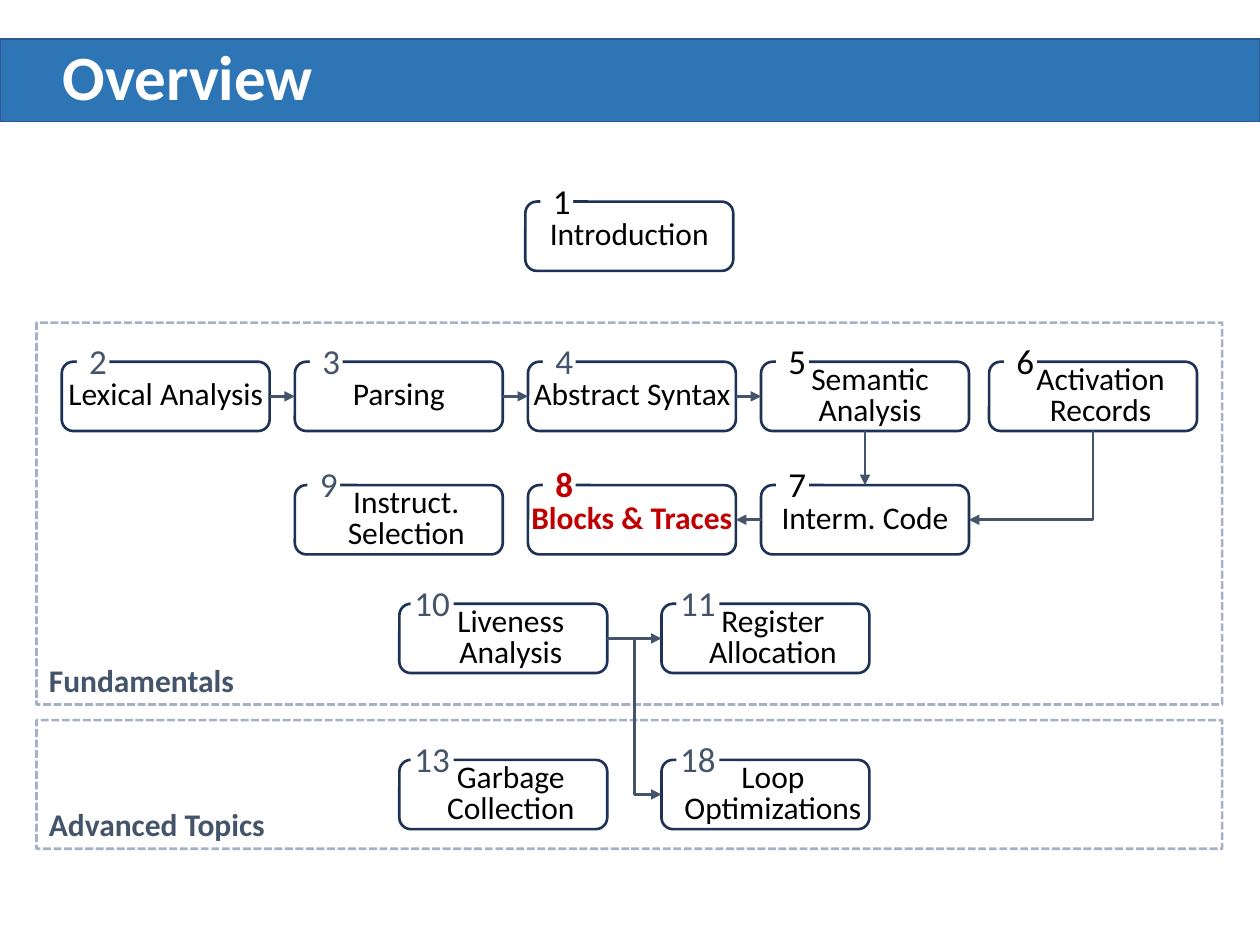
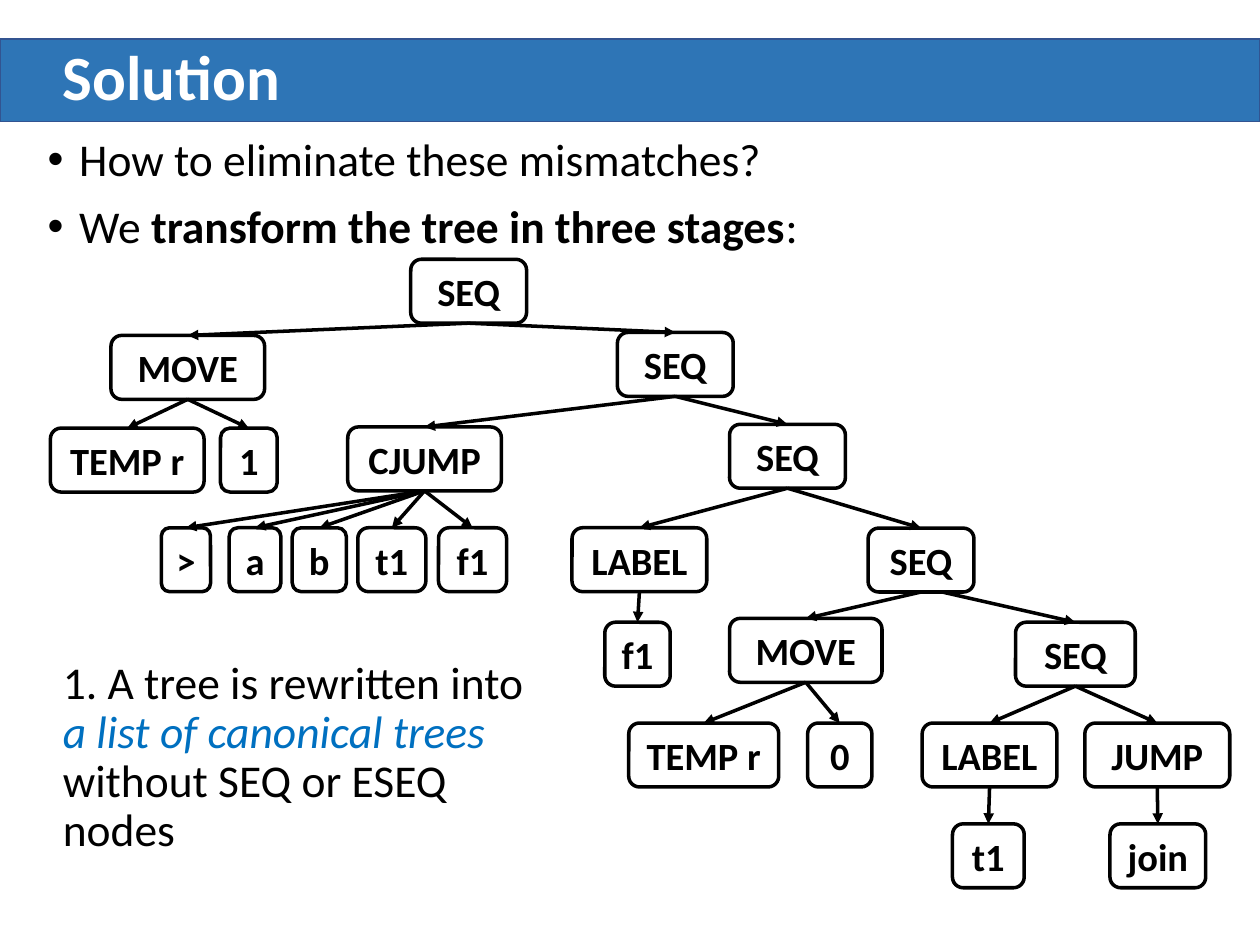
from dataclasses import dataclass

from lxml import etree
from pptx import Presentation
from pptx.dml.color import RGBColor
from pptx.enum.dml import MSO_LINE
from pptx.enum.shapes import MSO_CONNECTOR, MSO_SHAPE
from pptx.enum.text import MSO_ANCHOR, PP_ALIGN
from pptx.oxml.ns import qn
from pptx.util import Pt

RECT, ROUNDED = MSO_SHAPE.RECTANGLE, MSO_SHAPE.ROUNDED_RECTANGLE
STRAIGHT, ELBOW = MSO_CONNECTOR.STRAIGHT, MSO_CONNECTOR.ELBOW
TOP, MIDDLE = MSO_ANCHOR.TOP, MSO_ANCHOR.MIDDLE
LEFT, CENTER = PP_ALIGN.LEFT, PP_ALIGN.CENTER
DASHED = MSO_LINE.SQUARE_DOT

FONT = "Calibri"
BLACK, WHITE, SLATE, RED = "000000", "FFFFFF", "44546A", "C00000"
BAND_BLUE, BAND_EDGE, EMPHASIS = "2E75B6", "325491", "0070C0"
CARD_EDGE, PANEL_EDGE = "1E3256", "002060"
PADDING = (7.2, 3.6, 7.2, 3.6)
CARD_W, CARD_H, NODE_H = 118.8, 39.6, 36.5


@dataclass
class Box:
    """A rectangle in points."""
    left: float
    top: float
    width: float
    height: float

    def inner(self, dx, dy, width, height):
        """Return a box placed relative to this one."""
        return Box(self.left + dx, self.top + dy, width, height)

    def point(self, across, down):
        """Return the point at the given fractions of the box."""
        return self.left + across * self.width, self.top + down * self.height

    def lengths(self):
        """Return the four measures as lengths."""
        return [Pt(v) for v in (self.left, self.top, self.width, self.height)]


@dataclass
class Node:
    """A tree node, placed relative to the tree."""
    label: str
    left: float
    top: float
    width: float
    children: tuple = ()
    last_exit_shift: float = 0


def rgb(hex_string):
    """Turn a hex string into a colour."""
    return RGBColor.from_string(hex_string)


def write(shape, *paragraphs, size=18, color=BLACK, bold=False, align=LEFT,
          anchor=TOP, insets=PADDING, spacing=None, before=None, bullet=False):
    """Write paragraphs, each a string or a list of (text, overrides) runs."""
    frame = shape.text_frame
    frame.word_wrap = True
    frame.vertical_anchor = anchor
    (frame.margin_left, frame.margin_top,
     frame.margin_right, frame.margin_bottom) = [Pt(v) for v in insets]
    for index, content in enumerate(paragraphs):
        paragraph = frame.add_paragraph() if index else frame.paragraphs[0]
        paragraph.alignment = align
        if spacing:
            paragraph.line_spacing = spacing
        if before:
            paragraph.space_before = Pt(before)
        if bullet:
            props = paragraph._p.get_or_add_pPr()
            props.set("marL", str(Pt(18)))
            props.set("indent", str(-Pt(18)))
            etree.SubElement(props, qn("a:buFont")).set("typeface", "Arial")
            etree.SubElement(props, qn("a:buChar")).set("char", "•")
        for text, changes in [(content, {})] if isinstance(content, str) else content:
            run = paragraph.add_run()
            run.text = text
            run.font.name = FONT
            run.font.size = Pt(size)
            run.font.bold = changes.get("bold", bold)
            run.font.italic = changes.get("italic", False)
            run.font.color.rgb = rgb(changes.get("color", color))


def add_text(slide, box, *paragraphs, **style):
    """Add a text box."""
    write(slide.shapes.add_textbox(*box.lengths()), *paragraphs, **style)


def add_box(slide, kind, box, fill=None, edge=None, weight=1.5):
    """Add a flat shape."""
    shape = slide.shapes.add_shape(kind, *box.lengths())
    shape.shadow.inherit = False
    if fill:
        shape.fill.solid()
        shape.fill.fore_color.rgb = rgb(fill)
    else:
        shape.fill.background()
    if edge:
        shape.line.color.rgb = rgb(edge)
        shape.line.width = Pt(weight)
    else:
        shape.line.fill.background()
    return shape


def add_arrow(slide, start, end, color=SLATE, weight=1.5, down_first=False):
    """Draw an arrow, straight or going vertically before horizontally."""
    kind = ELBOW if down_first else STRAIGHT
    arrow = slide.shapes.add_connector(kind, *[Pt(v) for v in (*start, *end)])
    arrow.line.color.rgb = rgb(color)
    arrow.line.width = Pt(weight)
    props = arrow.element.spPr
    etree.SubElement(props.find(qn("a:ln")), qn("a:tailEnd")).set("type", "triangle")
    etree.SubElement(props, qn("a:effectLst"))
    if down_first:
        bend = etree.SubElement(props.find(qn("a:prstGeom")).find(qn("a:avLst")), qn("a:gd"))
        bend.set("name", "adj1")
        bend.set("fmla", "val 0")


def add_titled_slide(deck, title):
    """Add a blank slide with the title band."""
    slide = deck.slides.add_slide(deck.slide_layouts[6])
    band = Box(0, 22.5, 720, 47)
    add_box(slide, RECT, band, BAND_BLUE, BAND_EDGE, 1)
    add_text(slide, band.inner(28.8, 0, 665.3, 47), title, size=36, color=WHITE,
             bold=True, anchor=MIDDLE, spacing=0.9)
    return slide


def add_card(slide, box, number, topic, number_color=SLATE, indent=0, tab_dx=8.6):
    """Draw a topic card whose number interrupts its upper edge."""
    current = number_color == RED
    write(add_box(slide, ROUNDED, box, edge=CARD_EDGE), topic,
          color=RED if current else BLACK, bold=current, align=CENTER,
          anchor=MIDDLE, insets=(indent, 0, 0, 0), spacing=Pt(18))
    two_digits = number > 9
    tab = box.inner(tab_dx, -11.8, 24.5 if two_digits else 18.7, 22.3)
    write(add_box(slide, RECT, tab, WHITE), str(number), size=20, color=number_color,
          bold=current, align=CENTER, anchor=MIDDLE,
          insets=(0, 3.6, 0, 3.6) if two_digits else PADDING)
    return box


def add_panel(slide, box, label, topics):
    """Draw a dashed panel with its label and cards, returned by number."""
    panel = add_box(slide, RECT, box, edge=PANEL_EDGE)
    panel.line.dash_style = DASHED
    tint = next(panel.element.spPr.find(qn("a:ln")).iter(qn("a:srgbClr")))
    etree.SubElement(tint, qn("a:alpha")).set("val", "35000")
    add_text(slide, box.inner(0, box.height - 28.3, 360, 29), label,
             color=SLATE, bold=True)
    return {number: add_card(slide, box.inner(x, y, CARD_W, CARD_H), number, *rest)
            for x, y, number, *rest in topics}


def build_overview(deck):
    """Build the chapter map."""
    slide = add_titled_slide(deck, "Overview")
    add_card(slide, Box(300.2, 115.2, CARD_W, CARD_H), 1, "Introduction", BLACK)
    columns = [14.4 + 133.2 * i for i in range(4)] + [544.3]
    pair = 207.3, 357.1
    rows = 22.3, 92.8, 160.6
    cards = add_panel(slide, Box(20.9, 184.4, 677.5, 218.2), "Fundamentals", [
        (columns[0], rows[0], 2, "Lexical Analysis"),
        (columns[1], rows[0], 3, "Parsing"),
        (columns[2], rows[0], 4, "Abstract Syntax"),
        (columns[3], rows[0], 5, "Semantic Analysis", BLACK, 5.8),
        (columns[4], rows[0], 6, "Activation Records", BLACK, 8.6),
        (columns[3], rows[1], 7, "Interm. Code", BLACK),
        (columns[2], rows[1], 8, "Blocks & Traces", RED),
        (columns[1], rows[1], 9, "Instruct. Selection", SLATE, 8.6, 7.2),
        (pair[0], rows[2], 10, "Liveness Analysis", SLATE, 8.6, 6.5),
        (pair[1], rows[2], 11, "Register Allocation", SLATE, 8.6),
    ])
    cards |= add_panel(slide, Box(20.9, 411.5, 677.5, 73.5), "Advanced Topics", [
        (pair[0], 22.7, 13, "Garbage Collection", SLATE, 8.6, 6.5),
        (pair[1], 22.7, 18, "Loop Optimizations", SLATE, 8.6),
    ])
    for source, target in ((2, 3), (3, 4), (4, 5), (10, 11)):
        add_arrow(slide, cards[source].point(1, 0.5), cards[target].point(0, 0.5))
    add_arrow(slide, cards[5].point(0.5, 1), cards[7].point(0.5, 0))
    add_arrow(slide, cards[7].point(0, 0.5), cards[8].point(1, 0.5))
    add_arrow(slide, cards[6].point(0.5, 1), cards[7].point(1, 0.5), down_first=True)
    right, middle = cards[10].point(1, 0.5)
    halfway = (right + cards[11].left) / 2
    add_arrow(slide, (halfway, middle), cards[18].point(0, 0.5), down_first=True)


def add_tree(slide, area, node):
    """Draw a node and its subtree, and return the node's box."""
    box = area.inner(node.left, node.top, node.width, NODE_H)
    write(add_box(slide, ROUNDED, box, edge=BLACK, weight=2), node.label,
          size=22, bold=True, align=CENTER, anchor=MIDDLE)
    for child in node.children:
        x, y = box.point(0.5, 1)
        if child is node.children[-1]:
            x += node.last_exit_shift
        target = add_tree(slide, area, child)
        add_arrow(slide, (x, y), target.point(0.5, 0), BLACK, 2)
    return box


def build_solution(deck):
    """Build the slide with the statement tree."""
    slide = add_titled_slide(deck, "Solution")
    add_text(slide, Box(20.2, 74.9, 665.3, 92.2), "How to eliminate these mismatches?",
             [("We ", {}), ("transform the tree in three stages", {"bold": True}), (":", {})],
             size=26, spacing=0.9, before=10, bullet=True)
    operands = ((">", 63.4, 28.1), ("a", 102.2, 29.5), ("b", 138.2, 31),
                ("t1", 175.7, 38.9), ("f1", 221.8, 38.9))
    assign_r_1 = Node("MOVE", 34.6, 43.5, 87.8, (
        Node("TEMP r", 0, 96.5, 87.8), Node("1", 97.2, 96.5, 32.4)))
    branch = Node("CJUMP", 169.9, 95.8, 87.8, tuple(
        Node(label, left, 153.4, width) for label, left, width in operands))
    assign_r_0 = Node("MOVE", 388.1, 205.2, 87.1, (
        Node("TEMP r", 330.5, 265, 85.7), Node("0", 432.7, 265, 36.7)))
    leave = Node("SEQ", 551.5, 207.4, 68.4, (
        Node("LABEL", 498.2, 265, 77, (Node("t1", 515.5, 322.6, 41),)),
        Node("JUMP", 591.1, 265, 82.8, (Node("join", 605.5, 322.6, 54.7),))))
    otherwise = Node("SEQ", 388.1, 94.3, 66.2, (
        Node("LABEL", 298.1, 153.4, 77, (Node("f1", 316.8, 207.4, 37.4),)),
        Node("SEQ", 467.3, 153.6, 60.5, (assign_r_0, leave), 12)))
    root = Node("SEQ", 205.9, 0, 66.2, (
        assign_r_1, Node("SEQ", 324, 41.8, 66.2, (branch, otherwise))))
    add_tree(slide, Box(28.8, 148.2, 674, 359), root)
    add_text(slide, Box(28.8, 373.7, 281.5, 121),
             [("1. A tree is rewritten into ", {}),
              ("a list of canonical trees ", {"color": EMPHASIS, "italic": True}),
              ("without SEQ or ESEQ nodes", {})],
             size=26, spacing=0.9, before=10)


def main():
    """Build the deck."""
    deck = Presentation()
    deck.slide_width, deck.slide_height = Pt(720), Pt(540)
    build_overview(deck)
    build_solution(deck)
    deck.save("out.pptx")


if __name__ == "__main__":
    main()
